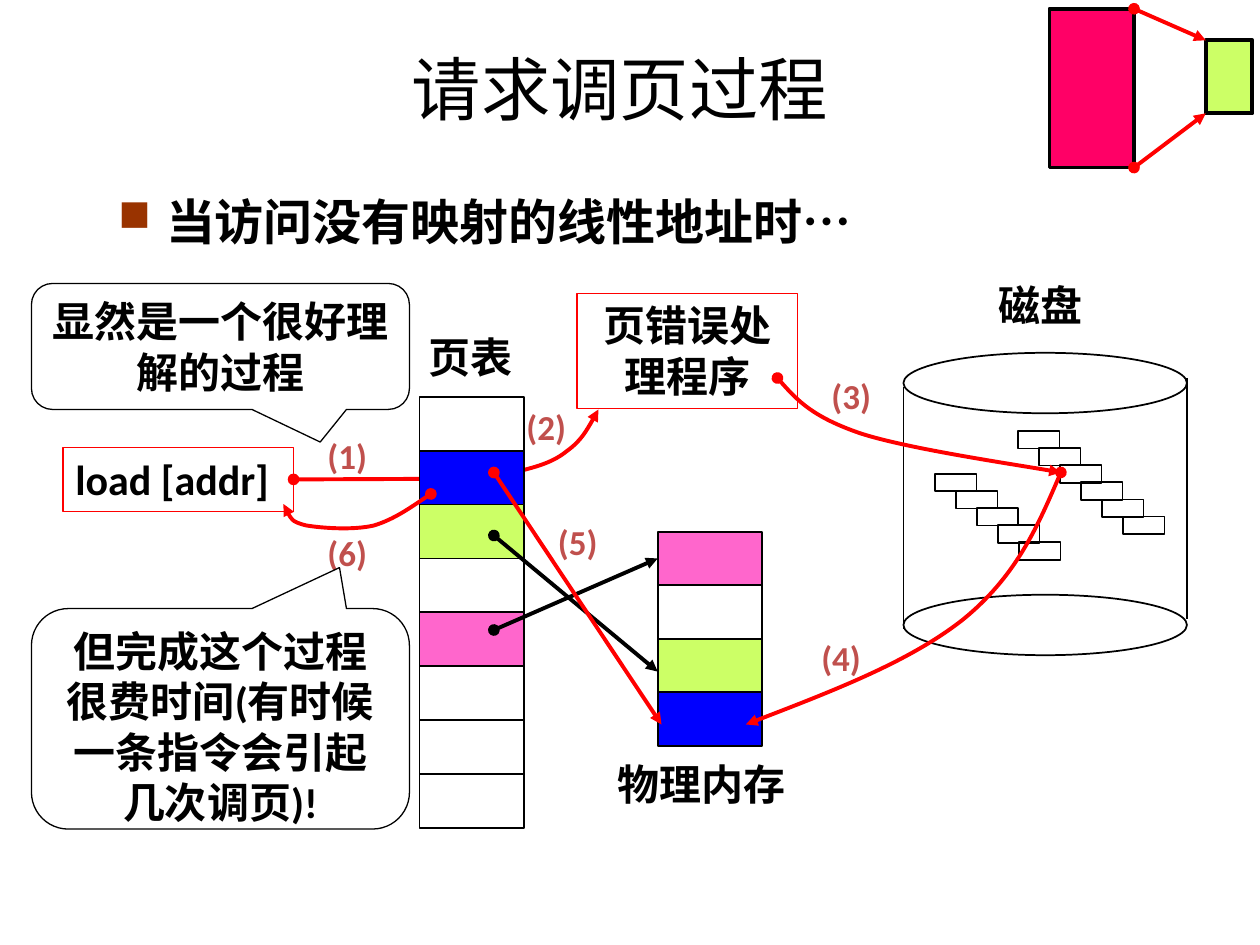
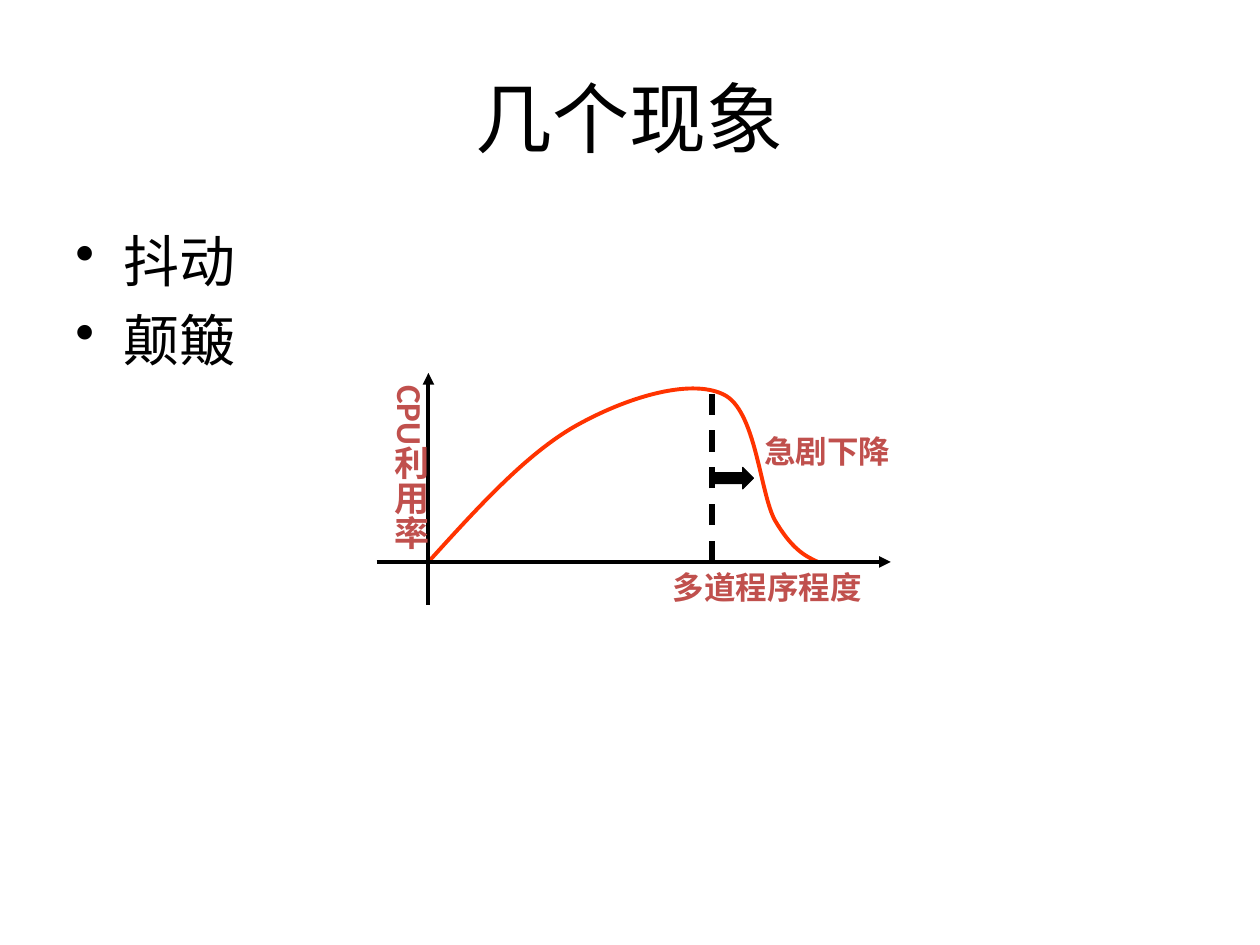
from collections import namedtuple
from dataclasses import dataclass

from lxml.etree import SubElement
from pptx import Presentation
from pptx.dml.color import RGBColor
from pptx.enum.dml import MSO_LINE
from pptx.enum.shapes import MSO_CONNECTOR, MSO_SHAPE
from pptx.enum.text import MSO_ANCHOR, PP_ALIGN
from pptx.oxml.ns import qn
from pptx.util import Inches, Pt

Box = namedtuple("Box", "x y w h")
TOP, LEFT, BOTTOM, RIGHT = range(4)


@dataclass(frozen=True)
class Theme:
    black: str = "000000"
    white: str = "FFFFFF"
    red: str = "FF0000"
    blue: str = "0000FF"
    lime: str = "CCFF66"
    pink: str = "FF66CC"
    rose: str = "FF0066"
    curve: str = "FF3300"
    note: str = "C0504D"
    mark: str = "993300"
    font: str = "Calibri"
    comic: str = "Comic Neue"
    big: float = 44
    head: float = 39.6
    item: float = 32
    lead: float = 28
    body: float = 24
    step: float = 20
    small: float = 18
    thin: float = 0.75
    edge: float = 1
    bold: float = 2.25
    dash: float = 3


T = Theme()


def style(item, **values):
    for name, value in values.items():
        setattr(item, name, value)


def inches(*values):
    return [Inches(value) for value in values]


def paint(fill, color):
    if color is None:
        fill.background()
    else:
        fill.solid()
        fill.fore_color.rgb = RGBColor.from_string(color)


def ink(line, color, width):
    paint(line.fill, color)
    line.width = Pt(width)


def tip(line, head=None, tail="triangle"):
    """Put arrowheads on the start and the end of a line."""
    ln = line._get_or_add_ln()
    for tag, kind in (("a:headEnd", head), ("a:tailEnd", tail)):
        if kind:
            SubElement(ln, qn(tag), type=kind)


def write(frame, *lines, size=T.body, color=T.black, bold=True, font=T.font,
          align=PP_ALIGN.LEFT, anchor=MSO_ANCHOR.TOP, wrap=True,
          bullet=None, gap=0, pitch=None):
    style(frame, word_wrap=wrap, vertical_anchor=anchor)
    for i, text in enumerate(lines):
        para = frame.add_paragraph() if i else frame.paragraphs[0]
        if bullet:
            add_bullet(para, **bullet)
        style(para, text=text, alignment=align, line_spacing=pitch,
              space_before=Pt(gap if i else 0))
        style(para.font, size=Pt(size), bold=bold, name=font)
        para.font.color.rgb = RGBColor.from_string(color)


def add_bullet(para, char, color=None, scale=None):
    props = para._p.get_or_add_pPr()
    props.set("marL", str(Inches(0.38)))
    props.set("indent", str(-Inches(0.38)))
    if color:
        SubElement(SubElement(props, qn("a:buClr")), qn("a:srgbClr"), val=color)
    if scale:
        SubElement(props, qn("a:buSzPct"), val=str(scale * 1000))
    SubElement(props, qn("a:buChar"), char=char)


def add_text(slide, box, *lines, **look):
    label = slide.shapes.add_textbox(*inches(*box))
    write(label.text_frame, *lines, **look)
    return label


def add_title(slide, box, text, size):
    add_text(slide, box, text, size=size, bold=False,
             align=PP_ALIGN.CENTER, anchor=MSO_ANCHOR.MIDDLE)


def add_form(slide, box, kind=MSO_SHAPE.RECTANGLE, fill=None,
             line=T.black, width=T.edge):
    form = slide.shapes.add_shape(kind, *inches(*box))
    form.shadow.inherit = False
    paint(form.fill, fill)
    ink(form.line, line, width)
    return form


def add_line(slide, start, end, color=T.black, width=T.bold,
             head=None, tail=None, dash=None):
    line = slide.shapes.add_connector(MSO_CONNECTOR.STRAIGHT,
                                      *inches(*start, *end))
    SubElement(line._element.spPr, qn("a:effectLst"))
    ink(line.line, color, width)
    if dash:
        line.line.dash_style = dash
    tip(line.line, head, tail)
    return line


def add_arrow(slide, start, end, color=T.red):
    return add_line(slide, start, end, color, head="oval", tail="triangle")


def add_curve(slide, points, color=T.red, arrow=True):
    """Draw Bezier spans: a start, then two controls and an end for each."""
    first, *rest = [tuple(inches(*point)) for point in points]
    maker = slide.shapes.build_freeform(*first, scale=1.0)
    maker.add_line_segments(rest, close=False)
    curve = maker.convert_to_shape()
    track = curve._element.find(".//" + qn("a:path"))
    steps = track.findall(qn("a:lnTo"))
    for i in range(0, len(steps), 3):
        span = SubElement(track, qn("a:cubicBezTo"))
        for step in steps[i:i + 3]:
            span.append(step[0])
            track.remove(step)
    curve.shadow.inherit = False
    curve.fill.background()
    ink(curve.line, color, T.bold)
    if arrow:
        tip(curve.line, "oval")


def add_stack(slide, box, fills):
    """Divide the box into equal page frames, one for each fill."""
    high = box.h / len(fills)
    return [add_form(slide, Box(box.x, box.y + i * high, box.w, high), fill=fill)
            for i, fill in enumerate(fills)]


def add_name(slide, box, text):
    add_text(slide, box, text, font=T.comic, wrap=False)


def add_disk(slide, box):
    x, y, w, h = box
    cap = 0.48
    for top in (y, y + h - cap):
        add_form(slide, Box(x, top, w, cap), MSO_SHAPE.OVAL)
    for side, top, end in ((x, 0.27, 2.19), (x + w, 0.2, 2.11)):
        add_line(slide, (side, y + top), (side, y + end), width=T.edge)
    for left, top, count in ((0.25, 0.96, 5), (0.91, 0.62, 6)):
        for i in range(count):
            add_form(slide, Box(x + left + i / 6, y + top + i * 0.136,
                                0.33, 0.14))


def add_corner(slide, box):
    """Show a large block mapped to a small one."""
    x, y, w, h = box
    small = Box(x + w - 0.37, y + 0.25, 0.37, 0.58)
    large = Box(x, y, 0.67, h)
    for part, fill in ((small, T.lime), (large, T.rose)):
        add_form(slide, part, fill=fill, width=T.bold)
    for start, end in ((y, small.y), (y + h, small.y + small.h)):
        add_arrow(slide, (x + large.w, start), (small.x, end))


def add_frame(slide, box, text, align):
    form = add_form(slide, box, line=T.red, width=T.thin)
    write(form.text_frame, text, align=align)
    return form


def add_bubble(slide, box, text, aim):
    form = add_form(slide, box, MSO_SHAPE.ROUNDED_RECTANGULAR_CALLOUT,
                    T.white, width=T.thin)
    for i, value in enumerate(aim):
        form.adjustments[i] = value
    write(form.text_frame, text, align=PP_ALIGN.CENTER)


def add_steps(slide, box):
    spots = [(0, 0.48), (1.58, 0.25), (4, 0), (3.92, 2.08), (1.83, 1.16),
             (0, 1.25)]
    for i, (x, y) in enumerate(spots, 1):
        add_text(slide, Box(box.x + x, box.y + y, 0.75, 0.43), f"({i})",
                 size=T.step, color=T.note)


def add_flow(slide, box):
    """Draw the page fault diagram."""
    def at(x, y):
        return box.x + x, box.y + y

    def part(x, y, w, h):
        return Box(*at(x, y), w, h)

    add_disk(slide, part(6.92, 0.55, 2.25, 2.4))
    add_name(slide, part(7.58, -0.08, 0.87, 0.5), "磁盘")
    load = add_frame(slide, part(0.25, 1.3, 1.83, 0.51), "load [addr]",
                     PP_ALIGN.LEFT)
    call = add_arrow(slide, at(2.08, 1.55), at(3.25, 1.55))
    call.begin_connect(load, RIGHT)
    add_frame(slide, part(4.33, 0.08, 1.75, 0.91), "页错误处理程序",
              PP_ALIGN.CENTER)
    add_curve(slide, [at(3.83, 1.5), at(3.99, 1.46), at(4.14, 1.42),
                      at(4.25, 1.33), at(4.36, 1.25), at(4.43, 1.13),
                      at(4.5, 1)])

    add_name(slide, part(3.05, 0.33, 0.87, 0.5), "页表")
    add_stack(slide, part(3.08, 0.9, 0.83, 3.42),
              [None, T.blue, T.lime, None, T.pink, None, None, None])
    add_name(slide, part(4.55, 3.72, 1.53, 0.5), "物理内存")
    memory = add_stack(slide, part(4.97, 1.97, 0.83, 1.7),
                       [T.pink, T.white, T.lime, T.blue])
    link = add_arrow(slide, at(3.67, 2.75), at(4.97, 2.17), T.black)
    link.end_connect(memory[0], LEFT)
    add_arrow(slide, at(3.67, 2), at(4.97, 3.08), T.black)

    add_curve(slide, [at(5.92, 0.75), at(6.06, 0.91), at(6.2, 1.06),
                      at(6.58, 1.19), at(6.95, 1.31), at(7.9, 1.45),
                      at(8.17, 1.5)])
    add_curve(slide, [at(8.17, 1.5), at(7.99, 1.92), at(7.81, 2.33),
                      at(7.39, 2.67), at(6.97, 3), at(6.32, 3.25),
                      at(5.67, 3.5)])
    add_curve(slide, [at(3.17, 1.67), at(3.02, 1.77), at(2.88, 1.87),
                      at(2.72, 1.92), at(2.55, 1.96), at(2.3, 1.94),
                      at(2.18, 1.92), at(2.06, 1.89), at(2.03, 1.82),
                      at(2, 1.75)])
    add_arrow(slide, at(3.67, 1.5), at(5, 3.5))
    add_steps(slide, part(2.25, 0.67, 4.75, 2.51))
    add_bubble(slide, part(0, 2.58, 3, 1.75),
               "但完成这个过程很费时间(有时候一条指令会引起几次调页)!",
               (0.315, -0.686, 0.167))
    add_bubble(slide, part(0, 0, 3, 1), "显然是一个很好理解的过程",
               (0.264, 0.759, 0.167))


def add_graph(slide, box):
    """Draw processor use against the number of running programs."""
    def at(x, y):
        return box.x + x, box.y + y

    def part(x, y, w, h):
        return Box(*at(x, y), w, h)

    zero, base, peak = 0.45, 1.5, 2.7
    add_curve(slide, [at(zero, base), at(0.84, 1.07), at(1.23, 0.64),
                      at(1.62, 0.42), at(2.01, 0.2), at(2.52, 0.04),
                      at(2.79, 0.17), at(3.05, 0.29), at(3.08, 0.95),
                      at(3.2, 1.17), at(3.33, 1.39), at(3.43, 1.45),
                      at(3.54, base)], T.curve, arrow=False)
    add_line(slide, at(0.04, base), at(4.12, base), tail="triangle")
    add_line(slide, at(zero, 1.84), at(zero, 0), tail="triangle")
    note = dict(size=T.small, color=T.note)
    add_text(slide, part(2.29, base, 1.83, 0.4), "多道程序程度", **note)
    axis = add_text(slide, part(0, 0, 0.53, 1.92), "CPU利用率",
                    size=T.step, color=T.note)
    axis.text_frame._txBody.bodyPr.set("vert", "eaVert")
    add_line(slide, at(peak, base), at(peak, 0.17), width=T.dash,
             dash=MSO_LINE.DASH)
    add_form(slide, part(peak, 0.75, 0.33, 0.17), MSO_SHAPE.RIGHT_ARROW,
             T.black, width=T.thin)
    add_text(slide, part(2.95, 0.42, 1.33, 0.4), "急剧下降",
             align=PP_ALIGN.CENTER, **note)


def fault_slide(slide):
    add_title(slide, Box(0.42, 0.33, 9, 0.74), "请求调页过程", T.head)
    add_corner(slide, Box(8.33, 0.07, 1.61, 1.26))
    add_text(slide, Box(0.84, 1.33, 8.66, 0.95), "当访问没有映射的线性地址时…",
             size=T.lead, pitch=1.3,
             bullet=dict(char="■", color=T.mark, scale=90))
    add_flow(slide, Box(0.25, 2.25, 9.17, 4.33))


def thrash_slide(slide):
    add_title(slide, Box(0.5, 0.3, 9, 1.25), "几个现象", T.big)
    add_text(slide, Box(0.5, 1.75, 9, 4.95), "抖动", "颠簸", size=T.item,
             bold=False, gap=6.4, bullet=dict(char="•"))
    add_graph(slide, Box(2.95, 2.96, 4.28, 1.92))


def main():
    deck = Presentation()
    style(deck, slide_width=Inches(10), slide_height=Inches(7.5))
    for build in (fault_slide, thrash_slide):
        build(deck.slides.add_slide(deck.slide_layouts[6]))
    deck.save("out.pptx")


if __name__ == "__main__":
    main()
